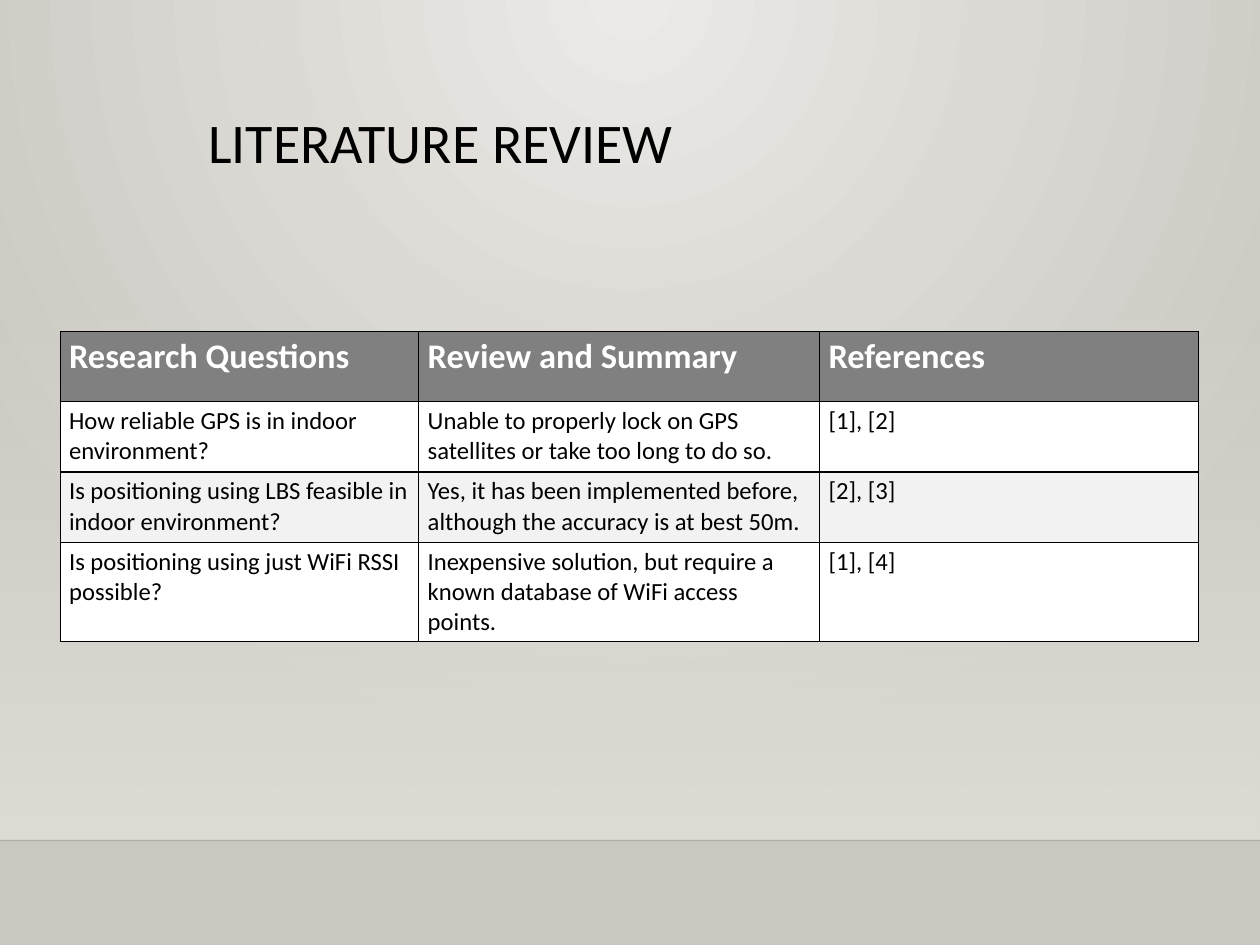
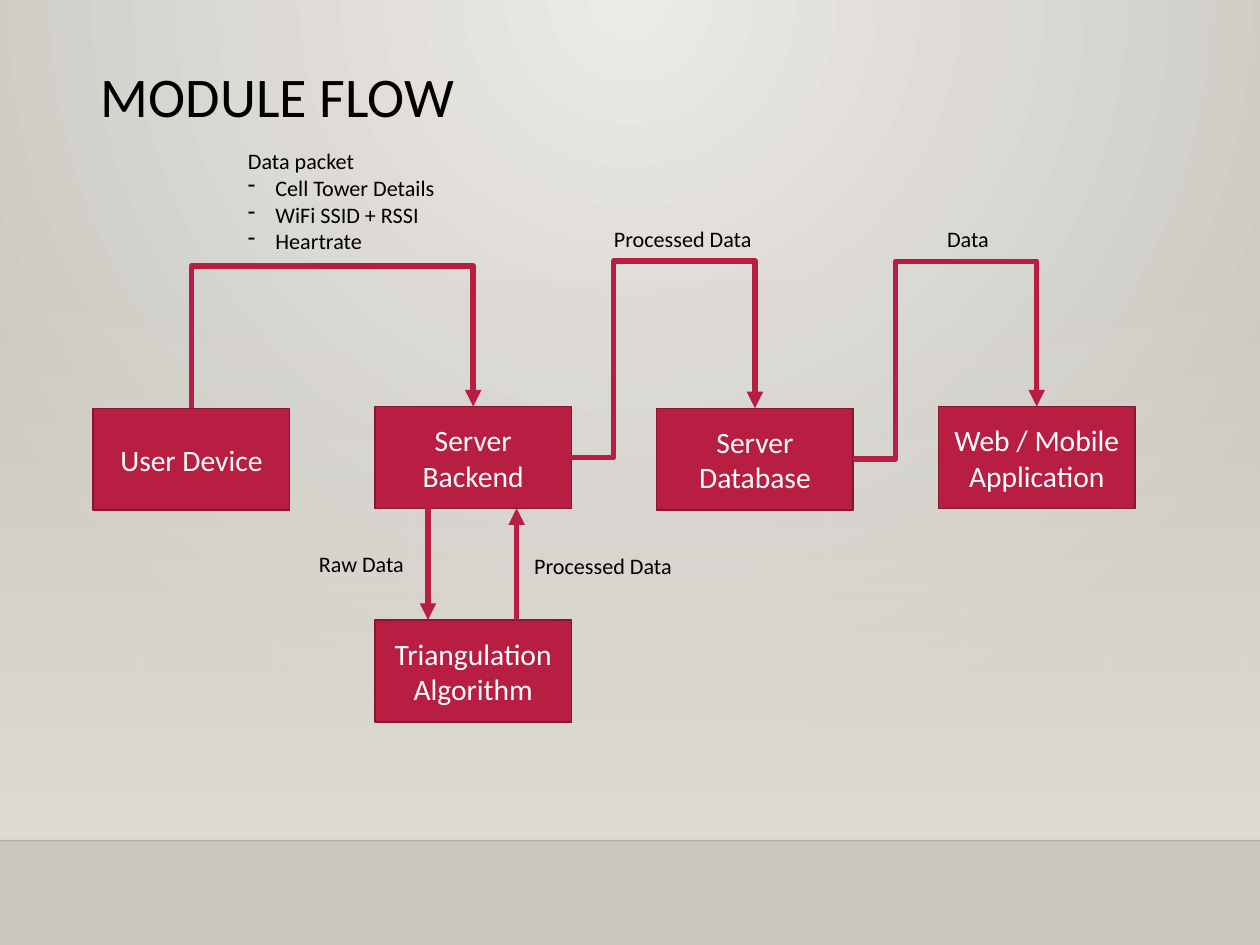
import dataclasses

import lxml.etree
import pptx
import pptx.dml.color
import pptx.enum.shapes
import pptx.enum.text
import pptx.oxml.ns
import pptx.util

Inches = pptx.util.Inches
Pt = pptx.util.Pt
qn = pptx.oxml.ns.qn
PP_ALIGN = pptx.enum.text.PP_ALIGN
ANCHOR = pptx.enum.text.MSO_ANCHOR
CONNECTOR = pptx.enum.shapes.MSO_CONNECTOR
RECTANGLE = pptx.enum.shapes.MSO_SHAPE.RECTANGLE

SLIDE_WIDTH, SLIDE_HEIGHT = Inches(14.22), Inches(10.67)
TITLE_ONLY = 5
TOP_SITE, RIGHT_SITE = 0, 3


@dataclasses.dataclass(frozen=True)
class Theme:
    font: str = "Calibri"
    black: str = "000000"
    white: str = "FFFFFF"
    header: str = "808080"
    stripe: str = "F2F2F2"
    accent: str = "B71E42"
    accent_edge: str = "871631"
    glow: str = "ECEAE7"
    backdrop: str = "CAC7C1"
    band: str = "DFDBD5"
    title_size: float = 45.5
    header_size: int = 28
    box_size: int = 24
    cell_size: int = 20
    label_size: int = 18


@dataclasses.dataclass(frozen=True)
class FlowGrid:
    """Grid of the module boxes, in inches; odd columns sit slightly higher."""
    left: float = 1.05
    top: float = 4.61
    column_pitch: float = 3.18
    row_pitch: float = 2.41
    stagger: float = 0.02
    box_width: float = 2.22
    box_height: float = 1.15

    def frame(self, column, row):
        return [Inches(length) for length in (
            self.left + column * self.column_pitch,
            self.top + row * self.row_pitch - column % 2 * self.stagger,
            self.box_width, self.box_height)]


THEME = Theme()
GRID = FlowGrid()


def across(percent):
    return round(SLIDE_WIDTH * percent / 100)


def down(percent):
    return round(SLIDE_HEIGHT * percent / 100)


def share(left, top, width, height):
    """Turn percentages of the slide into a frame."""
    return across(left), down(top), across(width), down(height)


def rgb(value):
    return pptx.dml.color.RGBColor.from_string(value)


def set_values(target, values):
    for name, value in values.items():
        setattr(target, name, value)


def place(shape, frame):
    set_values(shape, dict(zip(("left", "top", "width", "height"), frame)))


def format_font(font, size, color=THEME.black, bold=False):
    set_values(font, {"name": THEME.font, "size": Pt(size), "bold": bold})
    font.color.rgb = rgb(color)


def set_solid(fill, color):
    fill.solid()
    fill.fore_color.rgb = rgb(color)


def set_line(line, color, width):
    line.color.rgb = rgb(color)
    line.width = Pt(width)


def add_element(parent, tag, **attributes):
    element = lxml.etree.SubElement(parent, qn(tag))
    for name, value in attributes.items():
        element.set(name, str(value))
    return element


def set_gradient(fill, owner, colors):
    """Fill with two colours and return the gradient's XML element."""
    fill.gradient()
    for stop, position, color in zip(fill.gradient_stops, (0, 1), colors):
        stop.position = position
        stop.color.rgb = rgb(color)
    return owner.find(".//" + qn("a:gradFill"))


def set_opacity(owner, percent):
    """Set the opacity of the owner's first colour."""
    color = owner.find(".//" + qn("a:srgbClr"))
    add_element(color, "a:alpha", val=percent * 1000)


def add_connector(slide, kind, start, end, color, width):
    connector = slide.shapes.add_connector(kind, *start, *end)
    set_line(connector.line, color, width)
    add_element(connector.element.spPr, "a:effectLst")
    return connector


def add_arrow(slide, kind, start=(0, 0), end=(0, 0)):
    arrow = add_connector(slide, kind, start, end, THEME.accent, 4.5)
    add_element(arrow.element.spPr.find(qn("a:ln")), "a:tailEnd", type="triangle")
    return arrow


def set_elbow(connector, preset, ratios):
    geometry = connector.element.spPr.find(qn("a:prstGeom"))
    geometry.set("prst", preset)
    adjustments = geometry.find(qn("a:avLst"))
    if adjustments is None:
        adjustments = add_element(geometry, "a:avLst")
    for number, ratio in enumerate(ratios, 1):
        add_element(adjustments, "a:gd", name=f"adj{number}",
                    fmla=f"val {round(ratio * 100000)}")


def add_glued_arrow(slide, source, site, target):
    arrow = add_arrow(slide, CONNECTOR.ELBOW)
    arrow.begin_connect(source, site)
    arrow.end_connect(target, TOP_SITE)
    return arrow


def add_top_arrow(slide, source, target, rail):
    """Arrow from top to top, running along the height of the rail."""
    arrow = add_glued_arrow(slide, source, TOP_SITE, target)
    rise = arrow.begin_y - arrow.end_y
    run = arrow.end_x - arrow.begin_x
    ratio = (arrow.begin_y - rail) / rise
    middle_x = (arrow.begin_x + arrow.end_x) // 2
    middle_y = (arrow.begin_y + arrow.end_y) // 2
    place(arrow, (middle_x - rise // 2, middle_y - run // 2, rise, run))
    set_values_xml = {"rot": "5400000", "flipH": "1", "flipV": "1"}
    for name, value in set_values_xml.items():
        arrow.element.spPr.find(qn("a:xfrm")).set(name, value)
    set_elbow(arrow, "bentConnector3", [ratio])


def add_side_arrow(slide, source, target, rail):
    """Arrow from the right side over the rail to the next box's top."""
    arrow = add_glued_arrow(slide, source, RIGHT_SITE, target)
    rise = arrow.begin_y - arrow.end_y
    set_elbow(arrow, "bentConnector4", [0.23, (arrow.begin_y - rail) / rise])


def add_module(slide, text, column, row=0):
    box = slide.shapes.add_shape(RECTANGLE, *GRID.frame(column, row))
    box.shadow.inherit = False
    set_solid(box.fill, THEME.accent)
    set_line(box.line, THEME.accent_edge, 1.25)
    set_values(box.text_frame, {"text": text, "word_wrap": True,
                                "vertical_anchor": ANCHOR.MIDDLE})
    paragraph = box.text_frame.paragraphs[0]
    paragraph.alignment = PP_ALIGN.CENTER
    format_font(paragraph.font, THEME.box_size, THEME.white)
    return box


def add_label(slide, frame, heading, items=()):
    text_frame = slide.shapes.add_textbox(*frame).text_frame
    set_values(text_frame, {
        "text": "\n".join((heading, *items)), "word_wrap": False,
        "auto_size": pptx.enum.text.MSO_AUTO_SIZE.SHAPE_TO_FIT_TEXT})
    for index, paragraph in enumerate(text_frame.paragraphs):
        if index:
            properties = paragraph._p.get_or_add_pPr()
            properties.set("marL", str(Inches(0.31)))
            properties.set("indent", str(-Inches(0.31)))
            add_element(properties, "a:buChar", char="-")
        format_font(paragraph.font, THEME.label_size)


def add_cell_borders(cell):
    properties = cell._tc.get_or_add_tcPr()
    for index, side in enumerate(("a:lnL", "a:lnR", "a:lnT", "a:lnB")):
        border = add_element(properties, side, w=Pt(1))
        add_element(add_element(border, "a:solidFill"), "a:srgbClr", val=THEME.black)
        properties.insert(index, border)


def add_table(slide, frame, column_shares, rows):
    table = slide.shapes.add_table(len(rows), len(column_shares), *frame).table
    set_values(table, {"first_row": False, "horz_banding": False})
    for column, percent in zip(table.columns, column_shares):
        column.width = round(frame[2] * percent / 100)
    for row_index, texts in enumerate(rows):
        for column_index, text in enumerate(texts):
            cell = table.cell(row_index, column_index)
            cell.text = text
            font = cell.text_frame.paragraphs[0].font
            if row_index == 0:
                set_solid(cell.fill, THEME.header)
                format_font(font, THEME.header_size, THEME.white, True)
            else:
                set_solid(cell.fill, THEME.white if row_index % 2 else THEME.stripe)
                format_font(font, THEME.cell_size)
            add_cell_borders(cell)


def style_master(presentation, slide):
    """Give the master its background, and the band and rule drawn on slide."""
    master = presentation.slide_master
    gradient = set_gradient(master.background.fill, master.element,
                            (THEME.glow, THEME.backdrop))
    gradient.remove(gradient.find(qn("a:lin")))
    circle = add_element(gradient, "a:path", path="circle")
    add_element(circle, "a:fillToRect", l=43000, t=0, r=43000, b=100000)

    band = slide.shapes.add_shape(RECTANGLE, *share(0, 29.43, 100, 59.51))
    band.shadow.inherit = False
    band.line.fill.background()
    gradient = set_gradient(band.fill, band.element, (THEME.band, THEME.band))
    gradient.find(qn("a:lin")).set("ang", "5400000")
    set_opacity(gradient, 0)

    rule_y = down(88.94)
    rule = add_connector(slide, CONNECTOR.STRAIGHT, (0, rule_y),
                         (SLIDE_WIDTH, rule_y), THEME.black, 1)
    set_opacity(rule.element, 20)
    for index, shape in enumerate((band, rule)):
        shape.element.find(".//" + qn("p:cNvPr")).set("id", str(100 + index))
        master.shapes.element.insert(2 + index, shape.element)


def add_slide(presentation, title, frame, line_spacing=1.0):
    layout = presentation.slide_layouts[TITLE_ONLY]
    slide = presentation.slides.add_slide(layout)
    place(slide.shapes.title, frame)
    set_values(slide.shapes.title.text_frame, {
        "text": title, "word_wrap": True, "vertical_anchor": ANCHOR.TOP,
        "auto_size": pptx.enum.text.MSO_AUTO_SIZE.NONE})
    paragraph = slide.shapes.title.text_frame.paragraphs[0]
    set_values(paragraph, {"alignment": PP_ALIGN.LEFT, "line_spacing": line_spacing})
    format_font(paragraph.font, THEME.title_size)
    return slide


def fill_review(slide):
    add_table(slide, share(4.78, 35.05, 90.37, 29.8), (31.5, 35.2, 33.3), [
        ("Research Questions", "Review and Summary", "References"),
        ("How reliable GPS is in indoor environment?",
         "Unable to properly lock on GPS satellites or take too long to do so.",
         "[1], [2]"),
        ("Is positioning using LBS feasible in indoor environment?",
         "Yes, it has been implemented before, although the accuracy is at best 50m.",
         "[2], [3]"),
        ("Is positioning using just WiFi RSSI possible?",
         "Inexpensive solution, but require a known database of WiFi access points.",
         "[1], [4]"),
    ])


def fill_flow(slide):
    names = ("User Device", "Server Backend", "Server Database",
             "Web / Mobile Application")
    device, backend, database, application = [
        add_module(slide, name, column) for column, name in enumerate(names)]
    triangulation = add_module(slide, "Triangulation Algorithm", 1, 1)

    add_top_arrow(slide, device, backend, down(28.2))
    side_rail = down(27.65)
    add_side_arrow(slide, backend, database, side_rail)
    add_side_arrow(slide, database, application, side_rail)
    upper, lower = backend.top + backend.height, triangulation.top
    raw_x, processed_x = across(33.97), across(41)
    add_arrow(slide, CONNECTOR.STRAIGHT, (raw_x, upper), (raw_x, lower))
    add_arrow(slide, CONNECTOR.STRAIGHT, (processed_x, lower), (processed_x, upper))

    add_label(slide, share(18.99, 15.18, 16.88, 12.28), "Data packet",
              ("Cell Tower Details", "WiFi SSID + RSSI", "Heartrate"))
    for text, left, top, width in (
            ("Raw Data", 24.61, 57.83, 8.37),
            ("Processed Data", 41.7, 58.01, 12.59),
            ("Processed Data", 48.03, 23.43, 12.59),
            ("Data", 74.47, 23.43, 4.85)):
        add_label(slide, share(left, top, width, 3.75), text)


def main():
    presentation = pptx.Presentation()
    set_values(presentation, {"slide_width": SLIDE_WIDTH,
                              "slide_height": SLIDE_HEIGHT})
    review = add_slide(presentation, "LITERATURE REVIEW",
                       share(15.82, 11.72, 71.87, 15.28), 0.9)
    style_master(presentation, review)
    fill_review(review)
    fill_flow(add_slide(presentation, "MODULE FLOW",
                        share(7.31, 6.09, 85.37, 9.09)))
    presentation.save("out.pptx")


if __name__ == "__main__":
    main()
